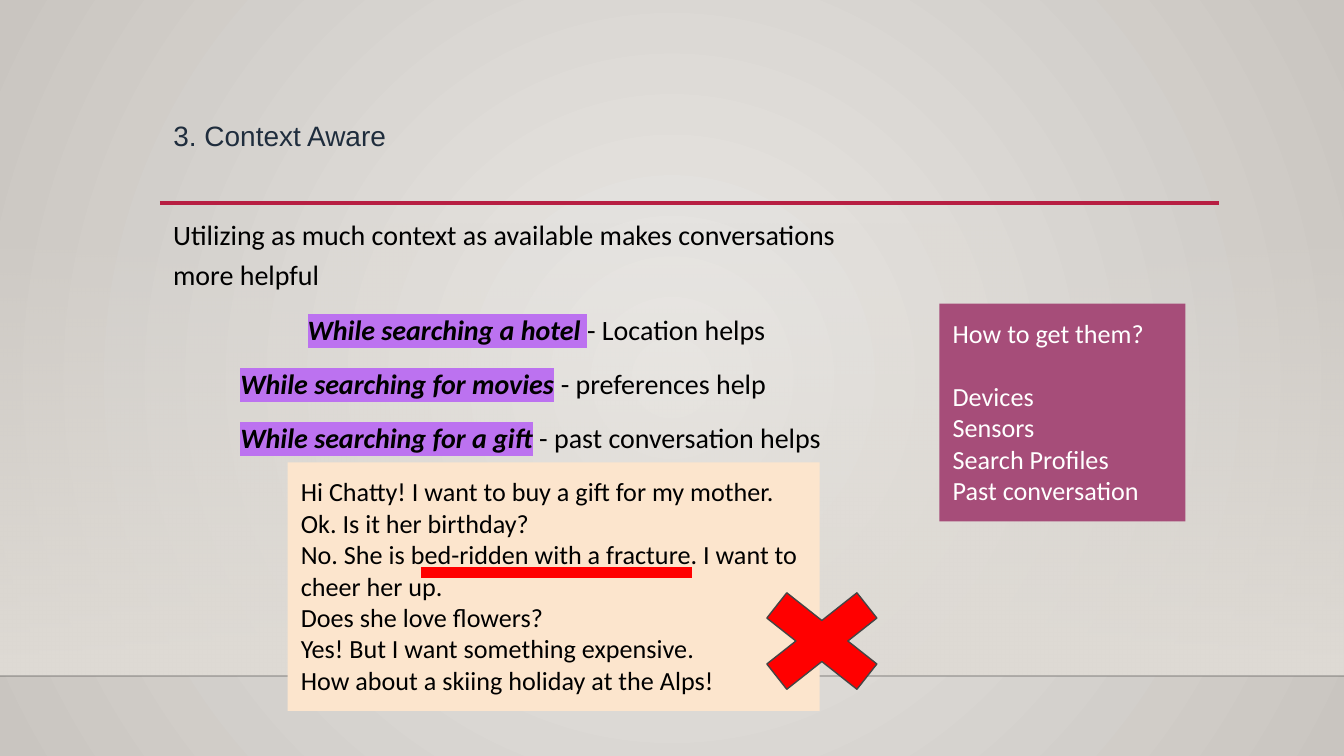
from lxml import etree
from pptx import Presentation
from pptx.dml.color import RGBColor
from pptx.enum.shapes import MSO_CONNECTOR, MSO_SHAPE
from pptx.enum.text import MSO_ANCHOR, PP_ALIGN
from pptx.oxml.ns import qn
from pptx.util import Inches, Pt

STRAIGHT = MSO_CONNECTOR.STRAIGHT
RECTANGLE = MSO_SHAPE.RECTANGLE
CROSS = MSO_SHAPE.MATH_MULTIPLY
TOP = MSO_ANCHOR.TOP
LEFT = PP_ALIGN.LEFT

COLORS = {
    "center": "EBE9E6", "edge": "C9C5C0", "wall": "DFDBD5", "floor": "000001",
    "accent": "B71E42", "title": "1F2D3D", "black": "000000", "white": "FFFFFF",
    "highlight": "BC72F0", "sources": "A64D79", "chat": "FCE5CD",
    "red": "FF0000", "outline": "454545",
}

SEARCHES = [
    (1, [("While searching a hotel", True, True), (" ", False, True),
         ("- Location helps", False, False)]),
    (0.5, [("While searching for movies", True, True),
           (" - preferences help", False, False)]),
    (0.5, [("While searching for a gift", True, True), (" ", True, False),
           ("- past conversation helps", False, False)]),
]
SOURCES = ["How to get them?", "Devices", "Sensors", "Search Profiles",
           "Past conversation"]
CHAT = [
    "Hi Chatty! I want to buy a gift for my mother.",
    "Ok. Is it her birthday?",
    "No. She is bed-ridden with a fracture. I want to cheer her up.",
    "Does she love flowers?",
    "Yes! But I want something expensive.",
    "How about a skiing holiday at the Alps!",
]


def rgb(name):
    return RGBColor.from_string(COLORS[name])


def set_alpha(color_element, percent):
    alpha = etree.SubElement(color_element, qn("a:alpha"))
    alpha.set("val", str(percent * 1000))


def two_stop_gradient(fill, first, last):
    fill.gradient()
    for position, (stop, name) in enumerate(
            zip(fill.gradient_stops, (first, last))):
        stop.color.rgb = rgb(name)
        stop.position = position


def paint_background(slide):
    two_stop_gradient(slide.background.fill, "center", "edge")
    gradient = slide.element.find(".//" + qn("a:gradFill"))
    gradient.remove(gradient.find(qn("a:lin")))
    radial = etree.SubElement(gradient, qn("a:path"))
    radial.set("path", "circle")
    center = etree.SubElement(radial, qn("a:fillToRect"))
    for side in "ltrb":
        center.set(side, "50000")


def add_wall(slide):
    wall = slide.shapes.add_shape(
        RECTANGLE, 0, Inches(1.66), Inches(10), Inches(3.37))
    wall.shadow.inherit = False
    wall.line.fill.background()
    two_stop_gradient(wall.fill, "wall", "wall")
    gradient = wall.element.spPr.find(qn("a:gradFill"))
    set_alpha(gradient.find(".//" + qn("a:srgbClr")), 0)
    gradient.find(qn("a:lin")).set("ang", "5400000")


def add_rule(slide, left, right, y, color, width, opacity=100):
    rule = slide.shapes.add_connector(
        STRAIGHT, Inches(left), Inches(y), Inches(right), Inches(y))
    rule.line.color.rgb = rgb(color)
    rule.line.width = Pt(width)
    properties = rule.element.spPr
    if opacity < 100:
        set_alpha(properties.find(".//" + qn("a:srgbClr")), opacity)
    etree.SubElement(properties, qn("a:effectLst"))


def format_frame(frame, vertical_inset):
    settings = {
        "word_wrap": True, "vertical_anchor": TOP,
        "margin_left": Inches(0.1), "margin_right": Inches(0.1),
        "margin_top": Inches(vertical_inset),
        "margin_bottom": Inches(vertical_inset),
    }
    for name, value in settings.items():
        setattr(frame, name, value)


def next_paragraph(frame, index):
    paragraph = frame.add_paragraph() if index else frame.paragraphs[0]
    paragraph.alignment = LEFT
    return paragraph


def add_run(paragraph, text, size, color, font="Calibri", strong=False,
            highlighted=False):
    run = paragraph.add_run()
    run.text = text
    settings = {"size": Pt(size), "name": font, "bold": strong, "italic": strong}
    for name, value in settings.items():
        setattr(run.font, name, value)
    run.font.color.rgb = rgb(color)
    if highlighted:
        highlight = etree.Element(qn("a:highlight"))
        etree.SubElement(highlight, qn("a:srgbClr")).set(
            "val", COLORS["highlight"])
        run._r.rPr.find(qn("a:solidFill")).addnext(highlight)


def write_title(slide):
    title = slide.shapes.title
    bounds = {"left": 1.19, "top": 0.66, "width": 7.88, "height": 0.86}
    for name, value in bounds.items():
        setattr(title, name, Inches(value))
    format_frame(title.text_frame, 0.05)
    paragraph = next_paragraph(title.text_frame, 0)
    paragraph.line_spacing = 1.7
    paragraph.space_before = Pt(30)
    paragraph.space_after = Pt(15)
    add_run(paragraph, "3. Context Aware", 15, "title", "Arial")


def add_body(slide):
    body = slide.shapes.add_textbox(
        Inches(1.19), Inches(1.52), Inches(5.41), Inches(2.96))
    format_frame(body.text_frame, 0.05)
    intro = ("Utilizing as much context as available makes conversations "
             "more helpful")
    lines = [(0, [(intro, False, False)])] + SEARCHES
    for index, (indent, runs) in enumerate(lines):
        paragraph = next_paragraph(body.text_frame, index)
        paragraph.line_spacing = 1.2
        paragraph.space_before = Pt(7.5)
        paragraph._p.get_or_add_pPr().set("marL", str(Inches(indent)))
        for text, strong, highlighted in runs:
            add_run(paragraph, text, 15, "black", strong=strong,
                    highlighted=highlighted)


def add_panel(slide, bounds, fill, color, lines, heading_gap=0):
    panel = slide.shapes.add_shape(RECTANGLE, *map(Inches, bounds))
    panel.shadow.inherit = False
    panel.fill.solid()
    panel.fill.fore_color.rgb = rgb(fill)
    panel.line.fill.background()
    format_frame(panel.text_frame, 0.1)
    for index, line in enumerate(lines):
        add_run(next_paragraph(panel.text_frame, index), line, 14, color)
    panel.text_frame.paragraphs[0].space_after = Pt(heading_gap)


def add_cross(slide):
    cross = slide.shapes.add_shape(
        CROSS, Inches(5.47), Inches(4.26), Inches(1.29), Inches(1.02))
    cross.shadow.inherit = False
    cross.adjustments[0] = 0.235
    cross.fill.solid()
    cross.fill.fore_color.rgb = rgb("red")
    cross.line.color.rgb = rgb("outline")
    cross.line.width = Pt(0.75)


def main():
    deck = Presentation()
    deck.slide_width = Inches(10)
    deck.slide_height = Inches(10) * 9 // 16
    slide = deck.slides.add_slide(deck.slide_layouts[5])
    paint_background(slide)
    add_wall(slide)
    add_rule(slide, 0, 10, 5.03, "floor", 1, opacity=20)
    add_rule(slide, 1.19, 9.07, 1.51, "accent", 2.5)
    write_title(slide)
    add_body(slide)
    add_panel(slide, (6.99, 2.26, 1.83, 1.62), "sources", "white", SOURCES,
              heading_gap=17)
    add_panel(slide, (2.14, 3.44, 3.96, 1.85), "chat", "black", CHAT)
    add_rule(slide, 3.13, 5.15, 4.26, "red", 6)
    add_cross(slide)
    deck.save("out.pptx")


if __name__ == "__main__":
    main()
